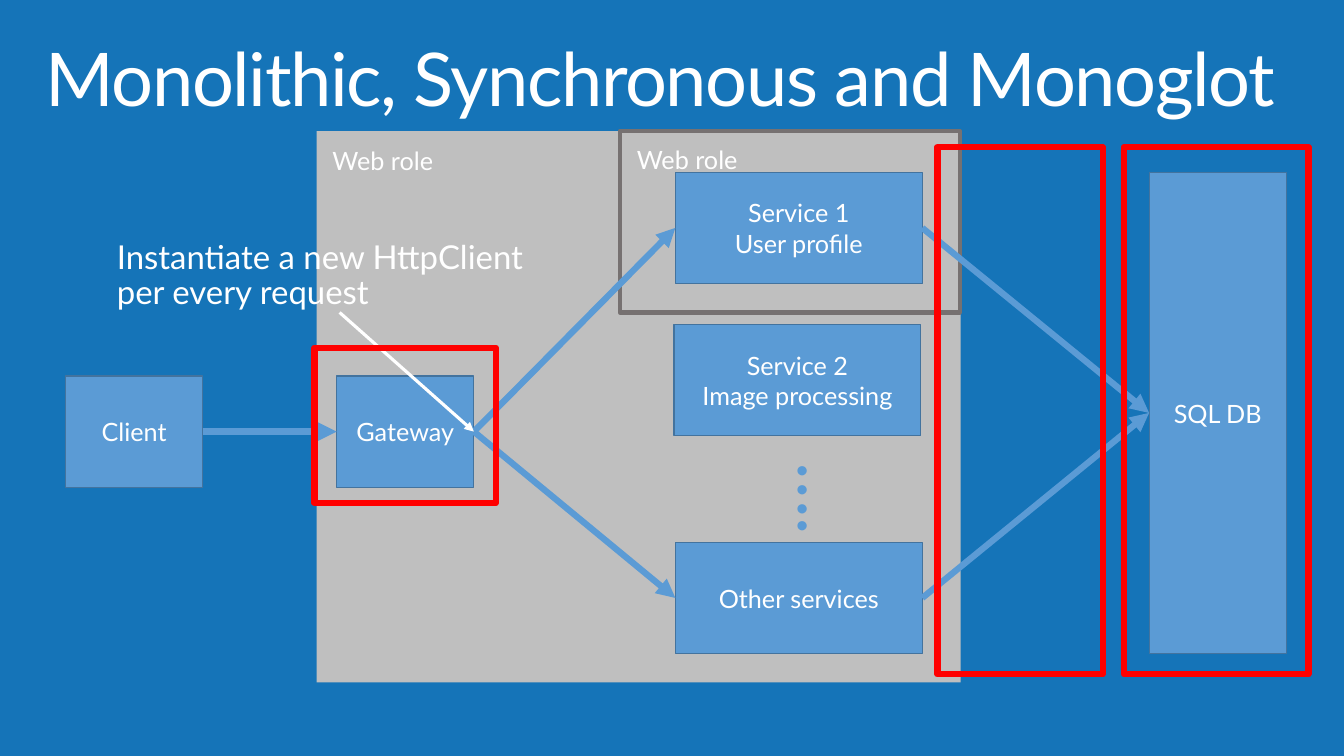
from dataclasses import dataclass

from lxml import etree
from pptx import Presentation
from pptx.dml.color import RGBColor
from pptx.enum.shapes import MSO_CONNECTOR, MSO_SHAPE
from pptx.enum.text import MSO_ANCHOR, MSO_AUTO_SIZE, PP_ALIGN
from pptx.oxml.ns import qn
from pptx.shapes.autoshape import Shape
from pptx.shapes.connector import Connector
from pptx.text.text import TextFrame
from pptx.util import Pt

RECTANGLE = MSO_SHAPE.RECTANGLE
STRAIGHT = MSO_CONNECTOR.STRAIGHT
TOP, MIDDLE = MSO_ANCHOR.TOP, MSO_ANCHOR.MIDDLE
LEFT, CENTER = PP_ALIGN.LEFT, PP_ALIGN.CENTER
NO_AUTOFIT = MSO_AUTO_SIZE.NONE

BACKGROUND = RGBColor(0x15, 0x74, 0xB8)
WHITE = RGBColor(0xFF, 0xFF, 0xFF)
PANEL_GREY = RGBColor(0xBF, 0xBF, 0xBF)
FRAME_GREY = RGBColor(0x76, 0x71, 0x71)
BOX_BLUE = RGBColor(0x5B, 0x9B, 0xD5)
BOX_EDGE = RGBColor(0x43, 0x73, 0x9E)
RED = RGBColor(0xFF, 0x00, 0x00)

FONT = "Lato"
LEFT_SIDE, RIGHT_SIDE = 1, 3
NODE_W, SERVICE_W, BOX_H = 98, 176.4, 79.4
NODE_Y, SERVICES_Y = 268.6, 123.1
LAST_SERVICE_Y = 387.4


@dataclass(frozen=True)
class Area:
    x: float
    y: float
    w: float
    h: float

    def lengths(self) -> tuple[Pt, Pt, Pt, Pt]:
        return Pt(self.x), Pt(self.y), Pt(self.w), Pt(self.h)


@dataclass(frozen=True)
class Box:
    lines: tuple[str, ...]
    area: Area


@dataclass(frozen=True)
class Label:
    text: str
    area: Area
    size: float = 18
    color: RGBColor = WHITE
    margins: tuple[float, float] = (7.2, 3.6)
    line_spacing: float = 1
    space_after: float = 0
    rotation: float = 0


WEB_ROLE = Area(226.1, 93.6, 460.1, 393.8)
SERVICE_ROLE = Area(442.8, 93.6, 242.8, 129.6)

BOXES = (
    Box(("Gateway",), Area(240.5, NODE_Y, NODE_W, BOX_H)),
    Box(("Service 1", "User profile"), Area(482.4, SERVICES_Y, SERVICE_W, BOX_H)),
    Box(("Other services",), Area(482.4, LAST_SERVICE_Y, SERVICE_W, BOX_H)),
    Box(("Client",), Area(46.8, NODE_Y, NODE_W, BOX_H)),
    Box(("SQL DB",), Area(820.8, SERVICES_Y, NODE_W,
                          LAST_SERVICE_Y + BOX_H - SERVICES_Y)),
    Box(("Service 2", "Image processing"), Area(481.4, 231.8, SERVICE_W, BOX_H)),
)

LINKS = (
    ("Gateway", "Service 1"),
    ("Gateway", "Other services"),
    ("Service 1", "SQL DB"),
    ("Client", "Gateway"),
    ("Other services", "SQL DB"),
)

WIDE_MARGINS = (14.4, 11.5)
LABELS = (
    Label("Web role", Area(230.4, 100.1, 108.7, 28.8)),
    Label("….", Area(542.2, 320.4, 90, 80.6), 52.9, BOX_BLUE,
          WIDE_MARGINS, 0.9, 5.9, 90),
    Label("Web role", Area(447.8, 99.4, 108.7, 28.8)),
    Label("Instantiate a new HttpClient per every request",
          Area(69.1, 160.6, 334.1, 74.2), 23.5, WHITE, WIDE_MARGINS, 0.9, 5.9),
)

HIGHLIGHTS = (
    Area(802.8, 105.1, 131.8, 376.6),
    Area(669.6, 105.1, 118.1, 376.6),
    Area(224.6, 248.4, 129.6, 110.9),
)


def add_rectangle(shapes, area: Area, fill: RGBColor | None,
                  edge: RGBColor | None = None, edge_width: float = 0) -> Shape:
    rectangle = shapes.add_shape(RECTANGLE, *area.lengths())
    rectangle.shadow.inherit = False
    if fill is None:
        rectangle.fill.background()
    else:
        rectangle.fill.solid()
        rectangle.fill.fore_color.rgb = fill
    if edge is None:
        rectangle.line.fill.background()
    else:
        rectangle.line.color.rgb = edge
        rectangle.line.width = Pt(edge_width)
    return rectangle


def write(frame: TextFrame, lines: tuple[str, ...], size: float, color: RGBColor,
          align: PP_ALIGN, margins: tuple[float, float] = (7.2, 3.6),
          line_spacing: float = 1, space_after: float = 0) -> None:
    frame.word_wrap = True
    frame.margin_left = frame.margin_right = Pt(margins[0])
    frame.margin_top = frame.margin_bottom = Pt(margins[1])
    for number, line in enumerate(lines):
        paragraph = frame.add_paragraph() if number else frame.paragraphs[0]
        paragraph.alignment = align
        paragraph.line_spacing = line_spacing
        paragraph.space_before = Pt(0)
        paragraph.space_after = Pt(space_after)
        run = paragraph.add_run()
        run.text = line
        run.font.name = FONT
        run.font.size = Pt(size)
        run.font.color.rgb = color


def add_box(shapes, box: Box) -> Shape:
    rectangle = add_rectangle(shapes, box.area, BOX_BLUE, BOX_EDGE, 0.85)
    rectangle.text_frame.vertical_anchor = MIDDLE
    write(rectangle.text_frame, box.lines, 18, WHITE, CENTER)
    return rectangle


def add_label(shapes, label: Label) -> None:
    text_box = shapes.add_textbox(*label.area.lengths())
    text_box.rotation = label.rotation
    write(text_box.text_frame, (label.text,), label.size, label.color, LEFT,
          label.margins, label.line_spacing, label.space_after)


def add_arrow(shapes, start: tuple[float, float], target: Shape, side: int,
              color: RGBColor, width: float) -> Connector:
    arrow = shapes.add_connector(STRAIGHT, Pt(start[0]), Pt(start[1]), Pt(0), Pt(0))
    arrow.end_connect(target, side)
    arrow.line.color.rgb = color
    arrow.line.width = Pt(width)
    etree.SubElement(arrow.line._get_or_add_ln(), qn("a:tailEnd"), type="triangle")
    etree.SubElement(arrow._element.spPr, qn("a:effectLst"))
    return arrow


def main() -> None:
    deck = Presentation()
    deck.slide_width, deck.slide_height = Pt(960), Pt(540)
    slide = deck.slides.add_slide(deck.slide_layouts[5])
    slide.background.fill.solid()
    slide.background.fill.fore_color.rgb = BACKGROUND
    shapes = slide.shapes

    # Title
    title = shapes.title
    title.left, title.top, title.width, title.height = Area(20.9, 23, 908.6, 70.6).lengths()
    title.text_frame.auto_size = NO_AUTOFIT
    title.text_frame.vertical_anchor = TOP
    write(title.text_frame, ("Monolithic, Synchronous and Monoglot",), 52.9, WHITE,
          LEFT, (11.5, 7.2), 0.9)
    title.text_frame.paragraphs[0].runs[0].font._element.set("spc", "-100")

    # Web roles and the boxes they hold
    add_rectangle(shapes, WEB_ROLE, PANEL_GREY)
    add_rectangle(shapes, SERVICE_ROLE, PANEL_GREY, FRAME_GREY, 3)
    nodes = {box.lines[0]: add_box(shapes, box) for box in BOXES}

    # Calls between the boxes
    for source, target in LINKS:
        link = add_arrow(shapes, (0, 0), nodes[target], LEFT_SIDE, BOX_BLUE, 4.5)
        link.begin_connect(nodes[source], RIGHT_SIDE)

    # Labels and the callout arrow
    for label in LABELS:
        add_label(shapes, label)
    add_arrow(shapes, (242.6, 223.2), nodes["Gateway"], RIGHT_SIDE, WHITE, 2.25)

    # Bottlenecks
    for area in HIGHLIGHTS:
        add_rectangle(shapes, area, None, RED, 4.5)

    deck.save("out.pptx")


if __name__ == "__main__":
    main()
